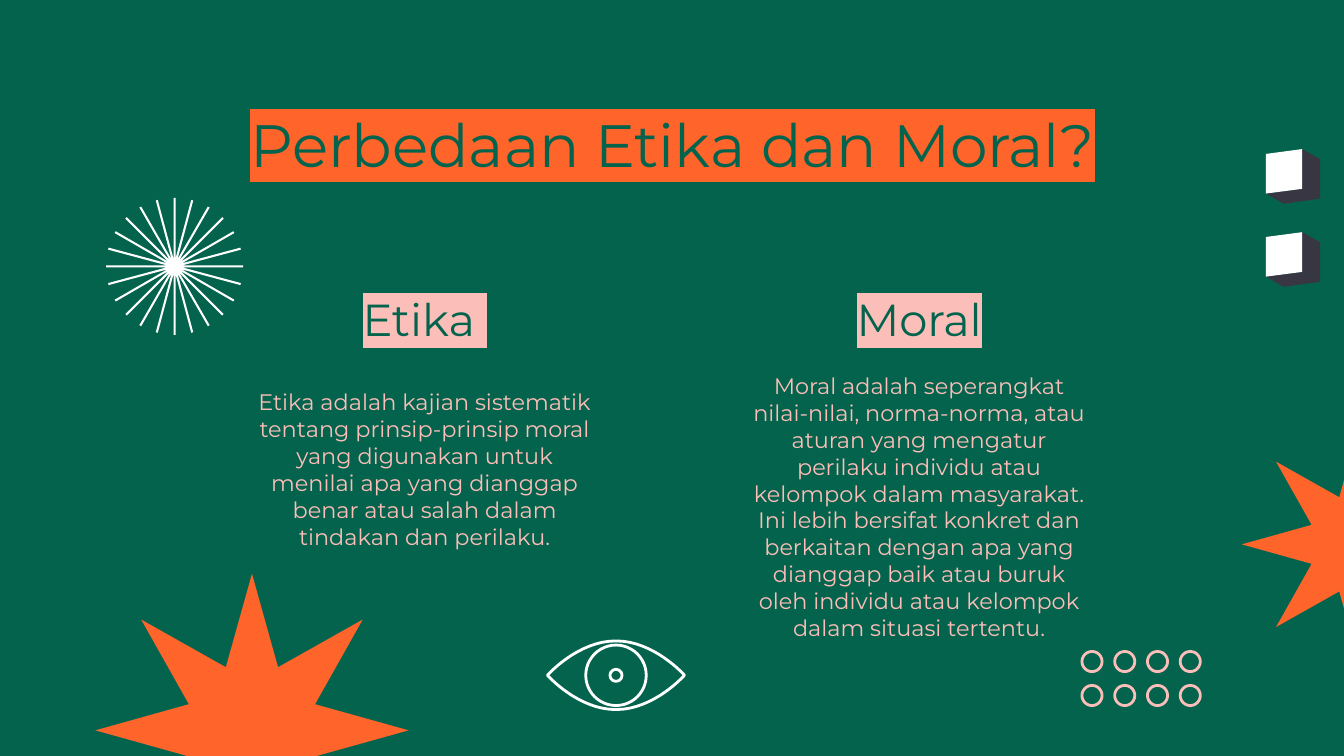
from dataclasses import dataclass
from math import cos, pi, sin

from lxml.etree import SubElement
from pptx import Presentation
from pptx.dml.color import RGBColor
from pptx.enum.shapes import MSO_SHAPE
from pptx.enum.text import MSO_ANCHOR, MSO_AUTO_SIZE, PP_ALIGN
from pptx.oxml.ns import qn
from pptx.util import Pt


@dataclass(frozen=True)
class Theme:
    green: str = "04634D"
    orange: str = "FF642B"
    pink: str = "FBBEB8"
    white: str = "FFFFFF"
    shade: str = "383642"
    font: str = "Montserrat"
    title_size: float = 32
    heading_size: float = 24
    body_size: float = 12
    stroke: float = 1.5
    inset: float = 7.2


THEME = Theme()

COLUMNS = [
    (128.9, 200.9, "Etika ", [
        "Etika adalah kajian sistematik tentang prinsip-prinsip moral yang "
        "digunakan untuk menilai apa yang dianggap benar atau salah dalam "
        "tindakan dan perilaku.",
    ]),
    (393.8, 192.2, "Moral", [
        "Moral adalah seperangkat nilai-nilai, norma-norma, atau aturan yang "
        "mengatur perilaku individu atau kelompok dalam masyarakat.",
        "Ini lebih bersifat konkret dan berkaitan dengan apa yang dianggap "
        "baik atau buruk oleh individu atau kelompok dalam situasi tertentu.",
    ]),
]


def rgb(color):
    return RGBColor.from_string(color)


def paint(shape, fill=None, line=None):
    shape.shadow.inherit = False
    if fill:
        shape.fill.solid()
        shape.fill.fore_color.rgb = rgb(fill)
    else:
        shape.fill.background()
    if line:
        shape.line.color.rgb = rgb(line)
        shape.line.width = Pt(THEME.stroke)
    else:
        shape.line.fill.background()


def add_outline(shapes, points, **colors):
    corners = [(Pt(x), Pt(y)) for x, y in points]
    builder = shapes.build_freeform(*corners[0])
    builder.add_line_segments(corners[1:], close=True)
    paint(builder.convert_to_shape(), **colors)


def add_preset(shapes, preset, left, top, size, **colors):
    shape = shapes.add_shape(preset, Pt(left), Pt(top), Pt(size), Pt(size))
    paint(shape, **colors)
    return shape


def fill_placeholder(placeholder, box, lines, size, color,
                     highlight=None, anchor=MSO_ANCHOR.TOP):
    placeholder.left, placeholder.top, placeholder.width, placeholder.height = map(Pt, box)
    frame = placeholder.text_frame
    frame.word_wrap = True
    frame.auto_size = MSO_AUTO_SIZE.NONE
    frame.vertical_anchor = anchor
    frame.margin_left = frame.margin_right = Pt(THEME.inset)
    frame.margin_top = frame.margin_bottom = Pt(THEME.inset)

    paragraph = frame.paragraphs[0]
    paragraph.alignment = PP_ALIGN.CENTER
    paragraph.space_before = Pt(0)
    properties = paragraph._p.get_or_add_pPr()
    properties.set("marL", "0")
    properties.set("indent", "0")
    SubElement(properties, qn("a:buNone"))

    for number, line in enumerate(lines):
        if number:
            paragraph.add_line_break()
            SubElement(paragraph._p[-1], qn("a:rPr"), sz=str(int(size * 100)))
        run = paragraph.add_run()
        run.text = line
        run.font.size = Pt(size)
        run.font.bold = False
        run.font.color.rgb = rgb(color)
        if highlight:
            marker = SubElement(run._r.get_or_add_rPr(), qn("a:highlight"))
            SubElement(marker, qn("a:srgbClr"), val=highlight)
        run.font.name = THEME.font


def add_cube(shapes, left, top):
    cube = shapes.add_group_shape().shapes
    side = [(19.4, 0), (29, 5.4), (29, 26.6), (19.4, 21.3)]
    base = [(29, 26.6), (19.4, 21.3), (0, 23.8), (9.4, 29.3)]
    front = [(0, 2.6), (19.4, 0), (19.4, 21.3), (0, 23.8)]
    for face, color in ((side, THEME.shade), (base, THEME.shade), (front, THEME.white)):
        add_outline(cube, [(left + x, top + y) for x, y in face], fill=color)


def add_star(shapes, left, top, size):
    star = add_preset(shapes, MSO_SHAPE.STAR_8_POINT, left, top, size, fill=THEME.orange)
    star.adjustments[0] = 0.218


def add_eye(shapes, center_x, center_y):
    eye = shapes.add_group_shape().shapes
    half_width, half_height, bend, steps = 36.7, 18.4, 20.5, 16
    arc = []
    for step in range(steps + 1):
        t = step / steps
        s = 1 - t
        arc.append((3 * s * s * t * bend + (3 * s * t * t + t ** 3) * half_width,
                    half_height * (s ** 3 + 3 * s * s * t)))
    upper = [(-x, -y) for x, y in reversed(arc)] + [(x, -y) for x, y in arc[1:]]
    lower = [(x, -y) for x, y in reversed(upper[1:-1])]
    lid = [(center_x + x, center_y + y) for x, y in upper + lower]
    add_outline(eye, lid, line=THEME.white)
    for diameter in (32.4, 6.5):
        add_preset(eye, MSO_SHAPE.OVAL, center_x - diameter / 2,
                   center_y - diameter / 2, diameter, line=THEME.white)


def add_rings(shapes, left, top):
    rings = shapes.add_group_shape().shapes
    for row in range(2):
        for column in range(4):
            add_preset(rings, MSO_SHAPE.OVAL, left + column * 17.55,
                       top + row * 18.2, 10.8, line=THEME.pink)


def add_sunburst(shapes, center_x, center_y):
    rays, radius, half_ray = 24, 36.7, 0.55
    step = 2 * pi / rays
    valley = half_ray / sin(step / 2)
    spread = half_ray / radius
    points = []
    for ray in range(rays):
        angle = ray * step
        for distance, turn in ((radius, angle - spread), (radius, angle + spread),
                               (valley, angle + step / 2)):
            points.append((center_x + distance * cos(turn),
                           center_y + distance * sin(turn)))
    add_outline(shapes, points, fill=THEME.white)


def main():
    deck = Presentation()
    deck.slide_width, deck.slide_height = Pt(720), Pt(405)
    slide = deck.slides.add_slide(deck.slide_layouts.get_by_name("Comparison"))
    slide.background.fill.solid()
    slide.background.fill.fore_color.rgb = rgb(THEME.green)
    shapes = slide.shapes

    title, *column_parts = slide.placeholders
    fill_placeholder(title, (56.7, 50.4, 607, 45.4), ["Perbedaan Etika dan Moral?"],
                     THEME.title_size, THEME.green, THEME.orange)
    pairs = zip(column_parts[::2], column_parts[1::2], COLUMNS)
    for heading, body, (left, top, name, lines) in pairs:
        fill_placeholder(heading, (left, 148.3, 197.3, 43.9), [name],
                         THEME.heading_size, THEME.green, THEME.pink, MSO_ANCHOR.BOTTOM)
        fill_placeholder(body, (left, top, 197.3, 100), lines,
                         THEME.body_size, THEME.pink)

    for top in (79.9, 124.4):
        add_cube(shapes, 678.2, top)
    add_star(shapes, 51.1, 307.4, 167.8)
    add_star(shapes, 665.3, 229, 125.3)
    add_eye(shapes, 330, 361.8)
    add_rings(shapes, 579.6, 349)
    add_sunburst(shapes, 93.5, 142.7)
    deck.save("out.pptx")


if __name__ == "__main__":
    main()
